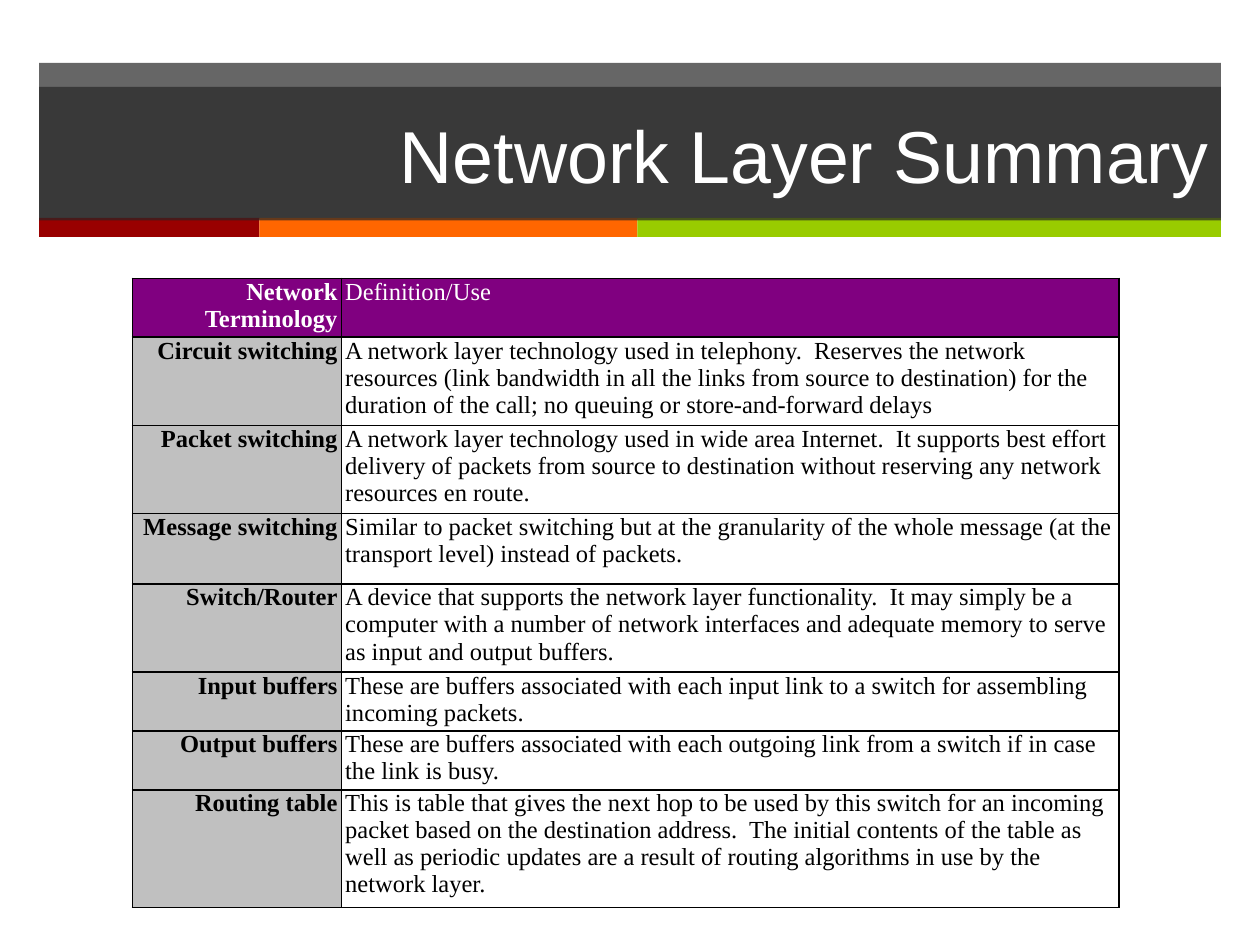
from lxml import etree
from pptx import Presentation, util as u
from pptx.dml.color import RGBColor
from pptx.enum import shapes, text
from pptx.oxml import ns

WIDTH, HEIGHT = 10, 7.5
DARK, WHITE, BLACK = "262626", "FFFFFF", "000000"
PURPLE, SILVER = "800080", "C0C0C0"
STRIPES = [("990000", 1.75), ("FF6600", 3), ("99CC00", 4.63)]
COLUMNS = [1.66, 6.17]
LINE = 0.2333
ROW_LINES = [2, 3, 3, 2.4, 3, 2, 2, 4]
TERMS = [
    ("Network Terminology", "Definition/Use"),
    ("Circuit switching",
     "A network layer technology used in telephony.  Reserves the network resources "
     "(link bandwidth in all the links from source to destination) for the duration "
     "of the call; no queuing or store-and-forward delays"),
    ("Packet switching",
     "A network layer technology used in wide area Internet.  It supports best effort "
     "delivery of packets from source to destination without reserving any network "
     "resources en route."),
    ("Message switching",
     "Similar to packet switching but at the granularity of the whole message "
     "(at the transport level) instead of packets."),
    ("Switch/Router",
     "A device that supports the network layer functionality.  It may simply be a "
     "computer with a number of network interfaces and adequate memory to serve as "
     "input and output buffers."),
    ("Input buffers",
     "These are buffers associated with each input link to a switch for assembling "
     "incoming packets."),
    ("Output buffers",
     "These are buffers associated with each outgoing link from a switch if in case "
     "the link is busy."),
    ("Routing table",
     "This is table that gives the next hop to be used by this switch for an incoming "
     "packet based on the destination address.  The initial contents of the table as "
     "well as periodic updates are a result of routing algorithms in use by the "
     "network layer."),
]


def color(hex_code):
    """Turn a hex string into a colour."""
    return RGBColor.from_string(hex_code)


def style(paragraph, face, size, hex_code, bold=False):
    """Set the font of a whole paragraph."""
    font = paragraph.font
    font.name, font.size, font.bold = face, u.Pt(size), bold
    font.color.rgb = color(hex_code)


def add_band(slide, left, top, width, height, hex_code, opacity=100):
    """Add a plain rectangle without outline or shadow."""
    band = slide.shapes.add_shape(
        shapes.MSO_SHAPE.RECTANGLE, *map(u.Inches, (left, top, width, height)))
    band.shadow.inherit = False
    band.line.fill.background()
    band.fill.solid()
    band.fill.fore_color.rgb = color(hex_code)
    if opacity < 100:
        tint = band.fill._xPr.find(".//" + ns.qn("a:srgbClr"))
        etree.SubElement(tint, ns.qn("a:alpha"), val=str(opacity * 1000))
    return band


def add_header(slide, left, top, width, height, title):
    """Place the layered title banner and its coloured stripes in a box."""
    stripe_height = 0.15
    stripe_top = top + height - stripe_height
    add_band(slide, left, top, width, height - stripe_height + 0.01, DARK, 70)
    stripe_left = left
    for hex_code, stripe_width in STRIPES:
        add_band(slide, stripe_left, stripe_top, stripe_width, stripe_height, hex_code)
        stripe_left += stripe_width
    inset = 0.19
    banner = add_band(slide, left, top + inset, width,
                      height - stripe_height - inset + 0.02, DARK, 70)
    frame = banner.text_frame
    frame.word_wrap = True
    frame.vertical_anchor = text.MSO_ANCHOR.MIDDLE
    heading = frame.paragraphs[0]
    heading.text = title
    heading.alignment = text.PP_ALIGN.RIGHT
    style(heading, "Arial", 42, WHITE)


def add_borders(cell):
    """Draw a thin black line on each side of a cell."""
    properties = cell._tc.get_or_add_tcPr()
    for position, side in enumerate(("lnL", "lnR", "lnT", "lnB")):
        line = etree.Element(ns.qn("a:" + side), w=str(u.Pt(1)))
        fill = etree.SubElement(line, ns.qn("a:solidFill"))
        etree.SubElement(fill, ns.qn("a:srgbClr"), val=BLACK)
        properties.insert(position, line)


def fill_cell(cell, wording, is_header, is_term):
    """Write and format one cell of the glossary."""
    cell.margin_left = cell.margin_right = u.Inches(0.03)
    cell.margin_top = cell.margin_bottom = 0
    if is_header or is_term:
        cell.fill.solid()
        cell.fill.fore_color.rgb = color(PURPLE if is_header else SILVER)
    else:
        cell.fill.background()
    add_borders(cell)
    entry = cell.text_frame.paragraphs[0]
    entry.text = wording
    entry.alignment = text.PP_ALIGN.RIGHT if is_term else text.PP_ALIGN.LEFT
    style(entry, "Times New Roman", 14, WHITE if is_header else BLACK, is_term)


def add_glossary(slide, left, top, width, height):
    """Place the table of terms and definitions in a box."""
    glossary = slide.shapes.add_table(
        len(TERMS), len(COLUMNS), *map(u.Inches, (left, top, width, height))).table
    glossary.first_row = glossary.horz_banding = False
    for column, column_width in zip(glossary.columns, COLUMNS):
        column.width = u.Inches(column_width)
    for row_index, (row, lines) in enumerate(zip(glossary.rows, ROW_LINES)):
        row.height = u.Inches(lines * LINE)
        for column_index, cell in enumerate(row.cells):
            fill_cell(cell, TERMS[row_index][column_index],
                      row_index == 0, column_index == 0)


def main():
    """Build and save the summary slide."""
    deck = Presentation()
    deck.slide_width, deck.slide_height = u.Inches(WIDTH), u.Inches(HEIGHT)
    slide = deck.slides.add_slide(deck.slide_layouts[6])
    add_header(slide, 0.31, HEIGHT / 15, 9.38, 1.38, "Network Layer Summary")
    add_glossary(slide, 1.05, 2.21, sum(COLUMNS), sum(ROW_LINES) * LINE)
    deck.save("out.pptx")


if __name__ == "__main__":
    main()
